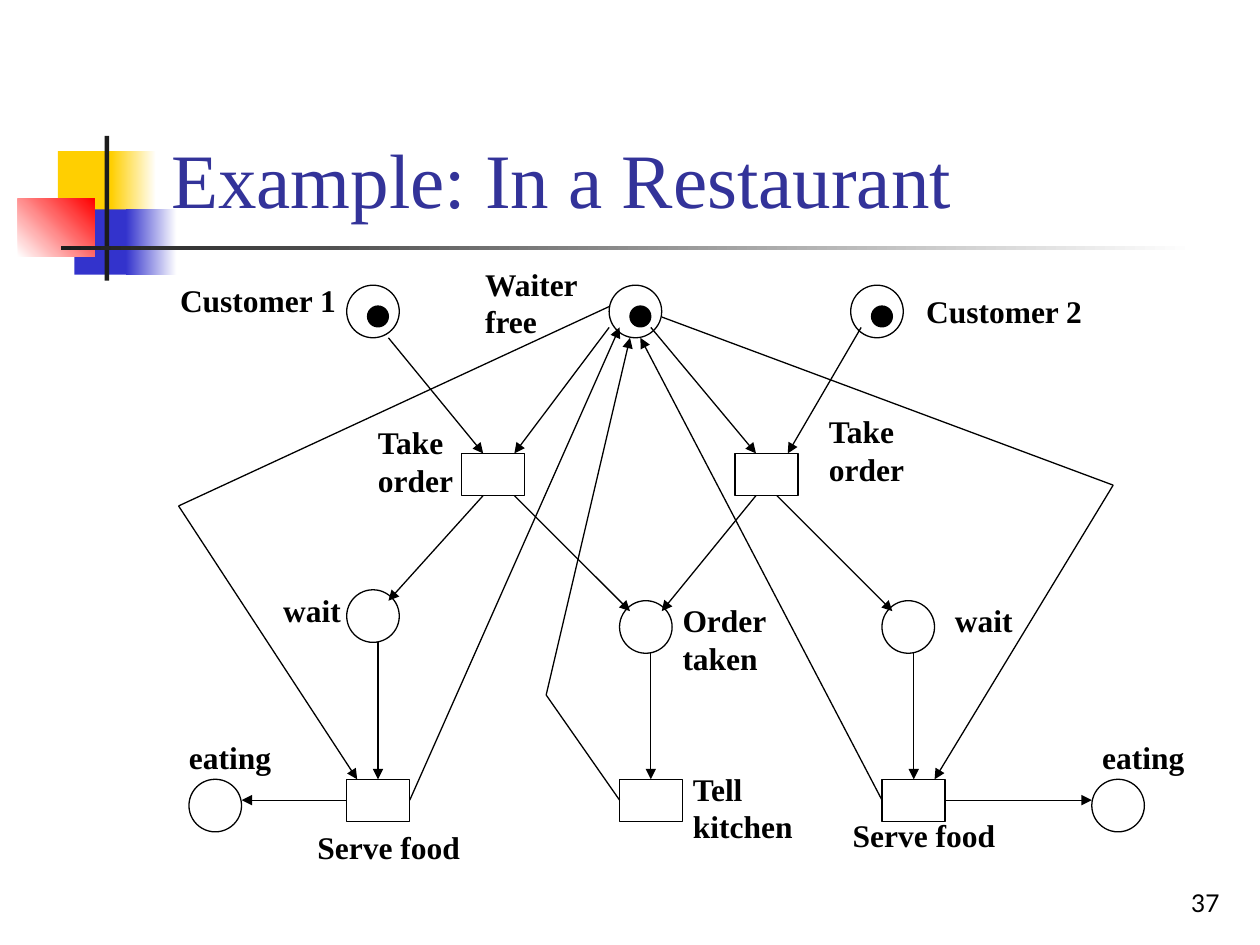
from dataclasses import dataclass

import lxml.etree
import pptx
import pptx.dml.color
import pptx.enum.shapes
import pptx.enum.text
import pptx.oxml.ns
import pptx.util

Cm = pptx.util.Cm
Pt = pptx.util.Pt
RGB = pptx.dml.color.RGBColor.from_string
SHAPE = pptx.enum.shapes.MSO_SHAPE
ALIGN = pptx.enum.text.PP_ALIGN
ANCHOR = pptx.enum.text.MSO_ANCHOR
AUTO_SIZE = pptx.enum.text.MSO_AUTO_SIZE
qn = pptx.oxml.ns.qn


@dataclass(frozen=True)
class Theme:
    ink: str = "000000"
    title: str = "333399"
    yellow: str = "FFCF01"
    blue: str = "3333CC"
    red: str = "FF0000"
    bar: str = "1C1C1C"
    paper: str = "FFFFFF"
    serif: str = "Times New Roman"
    sans: str = "Lato"
    title_size: float = 44
    label_size: float = 18
    number_size: float = 14
    line: float = 0.75


@dataclass(frozen=True)
class Block:
    """Decoration rectangle; end_color makes it a gradient."""
    x: float
    y: float
    w: float
    h: float
    color: str
    end_color: str = ""
    angle: float = 0


@dataclass(frozen=True)
class Label:
    x: float
    y: float
    w: float
    text: str


@dataclass(frozen=True)
class Arc:
    """Connected line through points, with a head at the end."""
    points: tuple[tuple[float, float], ...]


T = Theme()
PLACE, TOKEN = 1.06, 0.42
BOX_W, BOX_H = 1.27, 0.85

BLOCKS = [
    Block(1.17, 3.05, 1.22, 1.32, T.yellow),
    Block(2.24, 3.05, 0.91, 1.32, T.yellow, T.paper),
    Block(1.5, 4.22, 1.17, 1.32, T.blue),
    Block(2.54, 4.22, 1.02, 1.32, T.blue, T.paper),
    Block(0.36, 4.01, 1.55, 1.17, T.paper, T.red, 45),
    Block(2.11, 2.74, 0.09, 2.92, T.bar),
    Block(1.23, 4.95, 22.86, 0.09, T.bar, T.paper),
]

TOP, ORDER, SERVE = 5.75, 9.14, 15.71   # row tops
ORDER_END = ORDER + BOX_H
SERVE_MID = 16.13
MARKED_PLACES = [(6.99, TOP), (12.28, TOP), (17.15, TOP)]
EMPTY_PLACES = [(6.99, 11.89), (12.49, 12.11), (17.78, 12.11),
                (3.81, SERVE), (22.01, SERVE)]
TRANSITIONS = [(9.31, ORDER), (14.82, ORDER),
               (6.99, SERVE), (12.49, SERVE), (17.78, SERVE)]

ARCS = [
    # into "Take order"
    Arc(((7.83, 6.81), (9.74, ORDER))),
    Arc(((12.28, 6.6), (10.37, ORDER))),
    Arc(((13.12, 6.6), (15.24, ORDER))),
    Arc(((17.36, 6.6), (15.88, ORDER))),
    # out of "Take order"
    Arc(((9.74, ORDER_END), (7.83, 12.11))),
    Arc(((10.37, ORDER_END), (12.7, 12.32))),
    Arc(((15.24, ORDER_END), (13.34, 12.32))),
    Arc(((15.66, ORDER_END), (17.99, 12.32))),
    # into the bottom row
    Arc(((7.62, 12.95), (7.62, SERVE))),
    Arc(((13.12, 13.17), (13.12, SERVE))),
    Arc(((18.42, 13.17), (18.42, SERVE))),
    # to "eating"
    Arc(((6.99, SERVE_MID), (4.87, SERVE_MID))),
    Arc(((19.05, SERVE_MID), (22.01, SERVE_MID))),
    # back to "Waiter free"
    Arc(((8.26, SERVE_MID), (12.49, 6.6))),
    Arc(((12.49, SERVE_MID), (11.01, 14.01), (12.7, 6.81))),
    Arc(((17.78, SERVE_MID), (12.91, 6.81))),
    # from "Waiter free" to "Serve food"
    Arc(((12.28, 6.18), (3.6, 10.2), (7.2, SERVE))),
    Arc(((13.34, 6.39), (22.44, 9.78), (18.84, SERVE))),
]

LABELS = [
    Label(9.53, 5.21, 2.41, "Waiter\nfree"),
    Label(3.38, 5.54, 3.66, "Customer 1"),
    Label(18.42, 5.77, 3.66, "Customer 2"),
    Label(7.37, 8.41, 2.03, "Take\norder"),
    Label(16.46, 8.18, 2.03, "Take\norder"),
    Label(13.51, 11.99, 2.21, "Order\ntaken"),
    Label(13.72, 15.39, 2.6, "Tell\nkitchen"),
    Label(5.46, 11.79, 1.68, "wait"),
    Label(19, 11.99, 1.68, "wait"),
    Label(6.15, 16.56, 3.38, "Serve food"),
    Label(16.94, 16.33, 3.38, "Serve food"),
    Label(3.56, 14.76, 2.16, "eating"),
    Label(21.97, 14.76, 2.16, "eating"),
]


def add_block(s, b: Block) -> None:
    sp = s.shapes.add_shape(SHAPE.RECTANGLE, Cm(b.x), Cm(b.y), Cm(b.w), Cm(b.h))
    sp.shadow.inherit = False
    sp.line.fill.background()
    if b.end_color:
        sp.fill.gradient()
        sp.fill.gradient_angle = b.angle
        for stop, color in zip(sp.fill.gradient_stops, (b.color, b.end_color)):
            stop.color.rgb = RGB(color)
    else:
        sp.fill.solid()
        sp.fill.fore_color.rgb = RGB(b.color)


def add_node(s, kind, x: float, y: float, w: float, h: float, filled: bool = False) -> None:
    sp = s.shapes.add_shape(kind, Cm(x), Cm(y), Cm(w), Cm(h))
    sp.shadow.inherit = False
    sp.line.color.rgb = RGB(T.ink)
    sp.line.width = Pt(T.line)
    if filled:
        sp.fill.solid()
        sp.fill.fore_color.rgb = RGB(T.ink)
    else:
        sp.fill.background()


def add_arc(s, arc: Arc) -> None:
    """Draw each segment as a connector, the last one with an arrowhead."""
    for start, end in zip(arc.points, arc.points[1:]):
        c = s.shapes.add_connector(pptx.enum.shapes.MSO_CONNECTOR.STRAIGHT,
                                   *map(Cm, start + end))
        c.line.color.rgb = RGB(T.ink)
        c.line.width = Pt(T.line)
        lxml.etree.SubElement(c._element.spPr, qn("a:effectLst"))
    lxml.etree.SubElement(c.line._get_or_add_ln(), qn("a:tailEnd"), type="triangle")


def add_text(s, x: float, y: float, w: float, h: float, text: str, size: float,
             font: str, color: str, bold: bool = False, grow: bool = False,
             align=ALIGN.LEFT, anchor=ANCHOR.BOTTOM) -> None:
    """Add one paragraph per line; grow fits the box to unwrapped text."""
    tf = s.shapes.add_textbox(Cm(x), Cm(y), Cm(w), Cm(h)).text_frame
    tf.word_wrap = not grow
    tf.auto_size = AUTO_SIZE.SHAPE_TO_FIT_TEXT if grow else AUTO_SIZE.NONE
    tf.vertical_anchor = anchor
    for i, line in enumerate(text.split("\n")):
        p = tf.add_paragraph() if i else tf.paragraphs[0]
        p.alignment = align
        r = p.add_run()
        r.text = line
        r.font.size = Pt(size)
        r.font.name = font
        r.font.bold = bold
        r.font.color.rgb = RGB(color)


def main() -> None:
    prs = pptx.Presentation()
    prs.slide_width, prs.slide_height = Cm(25.4), Cm(19.05)
    s = prs.slides.add_slide(prs.slide_layouts[6])

    for block in BLOCKS:
        add_block(s, block)
    add_text(s, 3.2, 0.58, 21.64, 4.06, "Example: In a Restaurant",
             T.title_size, T.serif, T.title)
    add_text(s, 19.56, 17.35, 5.28, 1.27, "37", T.number_size, T.sans, T.ink,
             align=ALIGN.RIGHT)

    for x, y in MARKED_PLACES + EMPTY_PLACES:
        add_node(s, SHAPE.OVAL, x, y, PLACE, PLACE)
    for x, y in TRANSITIONS:
        add_node(s, SHAPE.RECTANGLE, x, y, BOX_W, BOX_H)
    for arc in ARCS:
        add_arc(s, arc)
    for label in LABELS:
        height = 0.26 + 0.76 * len(label.text.split("\n"))
        add_text(s, label.x, label.y, label.w, height, label.text, T.label_size,
                 T.serif, T.ink, bold=True, grow=True, anchor=ANCHOR.TOP)
    for x, y in MARKED_PLACES:
        add_node(s, SHAPE.OVAL, x + TOKEN, y + TOKEN, TOKEN, TOKEN, filled=True)

    prs.save("out.pptx")


if __name__ == "__main__":
    main()
